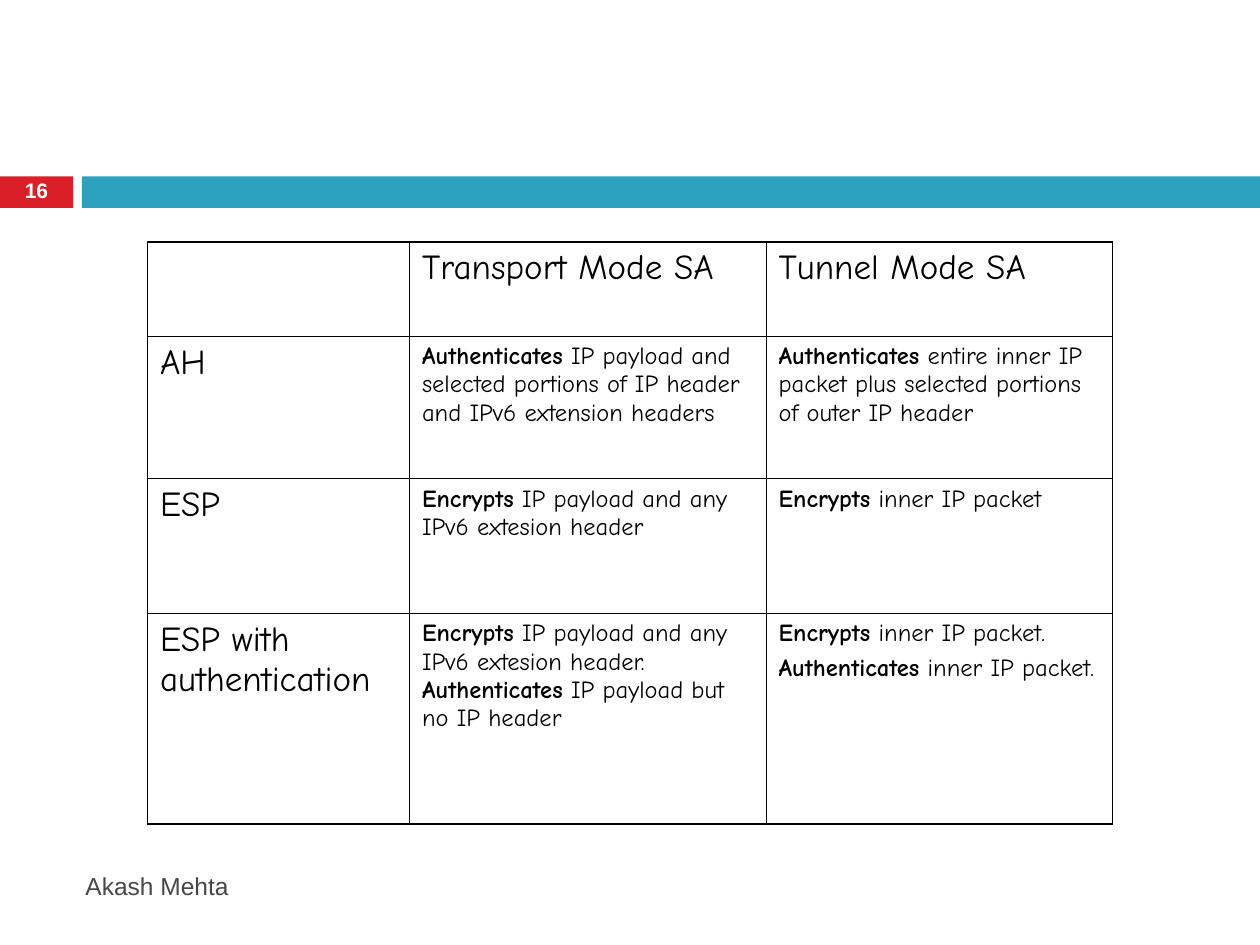
from lxml import etree
from pptx import Presentation
from pptx import util as u
from pptx.dml import color
from pptx.enum import shapes, text
from pptx.oxml import ns

COLUMN_WIDTHS = [2.08, 2.83, 2.75]
ROW_HEIGHTS = [0.75, 1.13, 1.07, 1.67]
# Each line of a cell is a paragraph; ** surrounds bold words
ROWS = [
    ["", "Transport Mode SA", "Tunnel Mode SA"],
    ["AH",
     "**Authenticates** IP payload and selected portions of IP header "
     "and IPv6 extension headers",
     "**Authenticates** entire inner IP packet plus selected portions "
     "of outer IP header"],
    ["ESP",
     "**Encrypts** IP payload and any IPv6 extesion header",
     "**Encrypts** inner IP packet"],
    ["ESP with authentication",
     "**Encrypts** IP payload and any IPv6 extesion header. "
     "**Authenticates** IP payload but no IP header",
     "**Encrypts** inner IP packet.\n**Authenticates** inner IP packet."],
]


def rgb(value):
    return color.RGBColor.from_string(value)


class SlideBuilder:
    BLACK, WHITE, GRAY = "000000", "FFFFFF", "464646"
    RED, TEAL = "DA1F28", "2DA2BF"
    BODY_FONT, LABEL_FONT = "Comic Neue", "Arial"
    THIN, THICK = 0.45, 1.08

    def __init__(self, slide):
        self.slide = slide

    def bar(self, left, top, width, height, fill):
        shape = self.slide.shapes.add_shape(
            shapes.MSO_SHAPE.RECTANGLE,
            *map(u.Inches, (left, top, width, height)))
        shape.shadow.inherit = False
        shape.fill.solid()
        shape.fill.fore_color.rgb = rgb(fill)
        shape.line.fill.background()

    def fill_paragraph(self, paragraph, content, ink, font_format,
                       paragraph_format):
        for name, value in paragraph_format.items():
            setattr(paragraph, name, value)
        for index, part in enumerate(content.split("**")):
            if not part:
                continue
            run = paragraph.add_run()
            run.text = part
            for name, value in {"bold": index % 2 == 1, **font_format}.items():
                setattr(run.font, name, value)
            run.font.color.rgb = rgb(ink)

    def label(self, left, top, width, height, content, ink, font_format,
              paragraph_format):
        shape = self.slide.shapes.add_textbox(
            *map(u.Inches, (left, top, width, height)))
        frame = shape.text_frame
        frame.word_wrap = True
        frame.vertical_anchor = text.MSO_ANCHOR.MIDDLE
        self.fill_paragraph(frame.paragraphs[0], content, ink,
                            {"name": self.LABEL_FONT, **font_format},
                            paragraph_format)

    def border(self, cell, widths):
        properties = cell._tc.get_or_add_tcPr()
        for index, (side, width) in enumerate(widths.items()):
            line = etree.Element(ns.qn(f"a:ln{side}"), w=str(u.Pt(width)))
            fill = etree.SubElement(line, ns.qn("a:solidFill"))
            etree.SubElement(fill, ns.qn("a:srgbClr"), val=self.BLACK)
            properties.insert(index, line)

    def table(self, left, top, rows, column_widths, row_heights):
        last_row, last_column = len(rows) - 1, len(column_widths) - 1
        table = self.slide.shapes.add_table(
            len(rows), len(column_widths), u.Inches(left), u.Inches(top),
            u.Inches(sum(column_widths)), u.Inches(sum(row_heights))).table
        table.first_row = table.horz_banding = False
        for column, width in zip(table.columns, column_widths):
            column.width = u.Inches(width)
        for r, (row, height) in enumerate(zip(table.rows, row_heights)):
            row.height = u.Inches(height)
            for c, cell in enumerate(row.cells):
                heading = r == 0 or c == 0
                size, space = (20, 5) if heading else (14, 3.5)
                cell.fill.background()
                outer = {"L": c == 0, "R": c == last_column,
                         "T": r == 0, "B": r == last_row}
                self.border(cell, {side: self.THICK if edge else self.THIN
                                   for side, edge in outer.items()})
                frame = cell.text_frame
                for index, content in enumerate(rows[r][c].split("\n")):
                    paragraph = (frame.add_paragraph() if index
                                 else frame.paragraphs[0])
                    self.fill_paragraph(
                        paragraph, content, self.BLACK,
                        {"name": self.BODY_FONT, "size": u.Pt(size)},
                        {"space_before": u.Pt(space)})


def main():
    presentation = Presentation()
    presentation.slide_width = u.Inches(10)
    presentation.slide_height = u.Inches(7.5)
    # The slide shows no title, so the blank layout is used
    builder = SlideBuilder(
        presentation.slides.add_slide(presentation.slide_layouts[6]))

    # Header band
    builder.bar(0, 1.4, 0.58, 0.25, builder.RED)
    builder.bar(0.65, 1.4, 9.35, 0.25, builder.TEAL)

    # Footer and slide number
    builder.label(0.58, 6.83, 5.93, 0.4, "Akash Mehta", builder.GRAY,
                  {"size": u.Pt(14)}, {})
    builder.label(0, 1.39, 0.58, 0.27, "16", builder.WHITE,
                  {"size": u.Pt(12), "bold": True},
                  {"alignment": text.PP_ALIGN.CENTER, "line_spacing": 0.8})

    # Comparison of the modes
    builder.table(1.17, 1.92, ROWS, COLUMN_WIDTHS, ROW_HEIGHTS)

    presentation.save("out.pptx")


if __name__ == "__main__":
    main()
